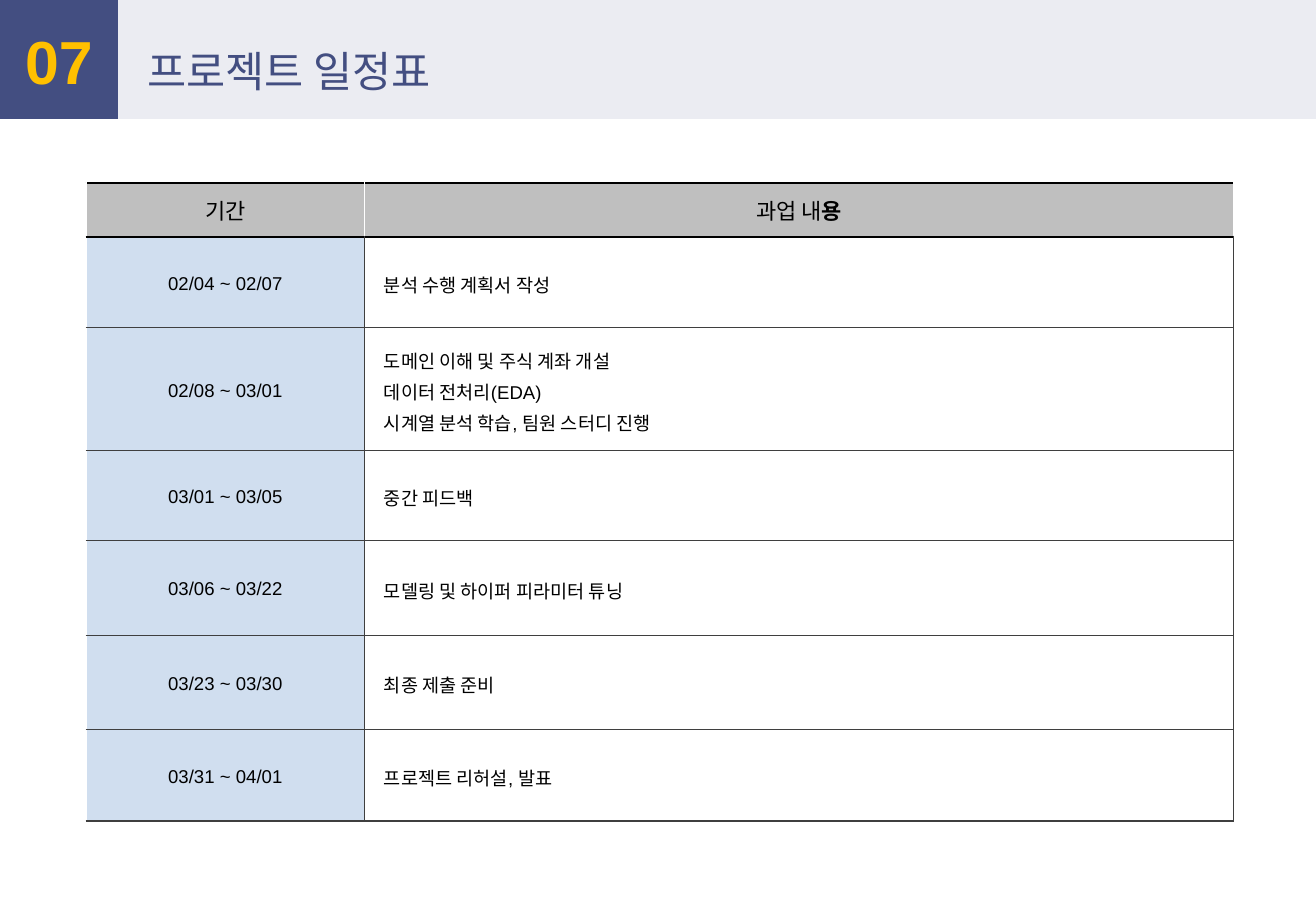
from lxml.etree import SubElement
from pptx import Presentation
from pptx.dml.color import RGBColor
from pptx.enum.shapes import MSO_SHAPE as Shape
from pptx.enum.text import MSO_ANCHOR as Anchor, MSO_AUTO_SIZE as Fit, PP_ALIGN as Align
from pptx.oxml.ns import qn
from pptx.util import Inches, Pt

NAVY, GOLD, BLACK, WHITE = "434E81", "FFC000", "000000", "FFFFFF"
GRAY, BLUE, RULE = "BFBFBF", "D0DEEF", "3F3F3F"
LATIN, HANGUL = "Arial", "Noto Sans CJK KR"

COLS = [2.29, 7.15]
HEAD = ["기간", "과업 내용"]
PLAN = [
    # dates, tasks, row height
    ("02/04 ~ 02/07", ["분석 수행 계획서 작성"], 0.75),
    ("02/08 ~ 03/01", ["도메인 이해 및 주식 계좌 개설", "데이터 전처리(EDA)",
                       "시계열 분석 학습, 팀원 스터디 진행"], 1.01),
    ("03/01 ~ 03/05", ["중간 피드백"], 0.74),
    ("03/06 ~ 03/22", ["모델링 및 하이퍼 피라미터 튜닝"], 0.78),
    ("03/23 ~ 03/30", ["최종 제출 준비"], 0.78),
    ("03/31 ~ 04/01", ["프로젝트 리허설, 발표"], 0.75),
]


def color(code):
    return RGBColor.from_string(code)


def style(para, size, code, align, face=LATIN, bold=False):
    para.alignment = align
    font = para.font
    font.size, font.name, font.bold = Pt(size), face, bold
    font.color.rgb = color(code)
    SubElement(font._rPr, qn("a:ea"), typeface=HANGUL)


def band(slide, left, width, alpha=100):
    shape = slide.shapes.add_shape(
        Shape.RECTANGLE, Inches(left), 0, Inches(width), Inches(0.98))
    shape.shadow.inherit = False
    shape.fill.solid()
    shape.fill.fore_color.rgb = color(NAVY)
    shape.line.fill.background()
    if alpha < 100:
        tint = shape._element.spPr.find(f".//{qn('a:srgbClr')}")
        SubElement(tint, qn("a:alpha"), val=str(alpha * 1000))
    # Keep the band behind the placeholders
    slide.shapes._spTree.insert(2, shape._element)


def label(holder, text, box, side, size, code, align, bold=False):
    holder.left, holder.top, holder.width, holder.height = map(Inches, box)
    frame = holder.text_frame
    frame.text = text
    frame.auto_size = Fit.NONE
    frame.vertical_anchor = Anchor.MIDDLE
    frame.margin_left = frame.margin_right = Inches(side)
    para = frame.paragraphs[0]
    para.space_before = Pt(0)
    style(para, size, code, align, bold=bold)
    props = para._p.get_or_add_pPr()
    props.set("marL", "0")
    props.set("indent", "0")
    props.insert_element_before(props.makeelement(qn("a:buNone")), "a:defRPr")


def edges(cell, lines):
    props = cell._tc.get_or_add_tcPr()
    for side in "LRTB":
        if side in lines:
            code, width = lines[side]
            line = SubElement(props, qn(f"a:ln{side}"), w=str(Pt(width)))
            fill = SubElement(line, qn("a:solidFill"))
            SubElement(fill, qn("a:srgbClr"), val=code)


def fill_cell(cell, texts, code, lines, size, align, face=LATIN, gap=1.15):
    edges(cell, lines)
    cell.fill.solid()
    cell.fill.fore_color.rgb = color(code)
    cell.vertical_anchor = Anchor.MIDDLE
    cell.margin_left = cell.margin_right = Inches(0.16)
    cell.margin_top = cell.margin_bottom = Inches(0.08)
    cell.text_frame.text = "\n".join(texts)
    for para in cell.text_frame.paragraphs:
        para.line_spacing = gap
        style(para, size, BLACK, align, face)


def schedule(slide):
    rows = [0.44] + [high for _, _, high in PLAN]
    table = slide.shapes.add_table(
        len(rows), len(COLS), Inches(0.71), Inches(1.51),
        Inches(sum(COLS)), Inches(sum(rows))).table
    table.first_row = table.horz_banding = False
    for col, width in zip(table.columns, COLS):
        col.width = Inches(width)
    for row, high in zip(table.rows, rows):
        row.height = Inches(high)

    # Header row
    thick, thin, pale = (BLACK, 1.5), (RULE, 0.75), (WHITE, 0.75)
    for c, text in enumerate(HEAD):
        lines = {"T": thick, "B": thick, "R": pale}
        if c:
            lines["L"] = pale
        fill_cell(table.cell(0, c), [text], GRAY, lines, 13, Align.CENTER, HANGUL, 1.0)
    # The last syllable of the header is bold
    para = table.cell(0, 1).text_frame.paragraphs[0]
    para.runs[0].text = HEAD[1][:-1]
    last = para.add_run()
    last.text = HEAD[1][-1]
    last.font.bold = True

    # Dates and tasks
    for r, (dates, tasks, _) in enumerate(PLAN, 1):
        lines = {"T": thick if r == 1 else thin, "B": thin, "R": thin}
        fill_cell(table.cell(r, 0), [dates], BLUE, lines, 11, Align.CENTER)
        fill_cell(table.cell(r, 1), tasks, WHITE, {**lines, "L": thin}, 11, Align.LEFT)


def main():
    deck = Presentation()
    deck.slide_width, deck.slide_height = Inches(10.83), Inches(7.5)
    slide = deck.slides.add_slide(deck.slide_layouts[1])

    # Heading
    band(slide, 0, 0.97)
    band(slide, 0.97, 9.86, alpha=10)
    label(slide.placeholders[1], "07", (0.14, 0.17, 0.69, 0.65), 0.04,
          36, GOLD, Align.CENTER, bold=True)
    label(slide.shapes.title, "프로젝트 일정표", (1.11, 0.34, 6.71, 0.48), 0.1,
          25.2, NAVY, Align.LEFT)

    schedule(slide)
    deck.save("out.pptx")


if __name__ == "__main__":
    main()
